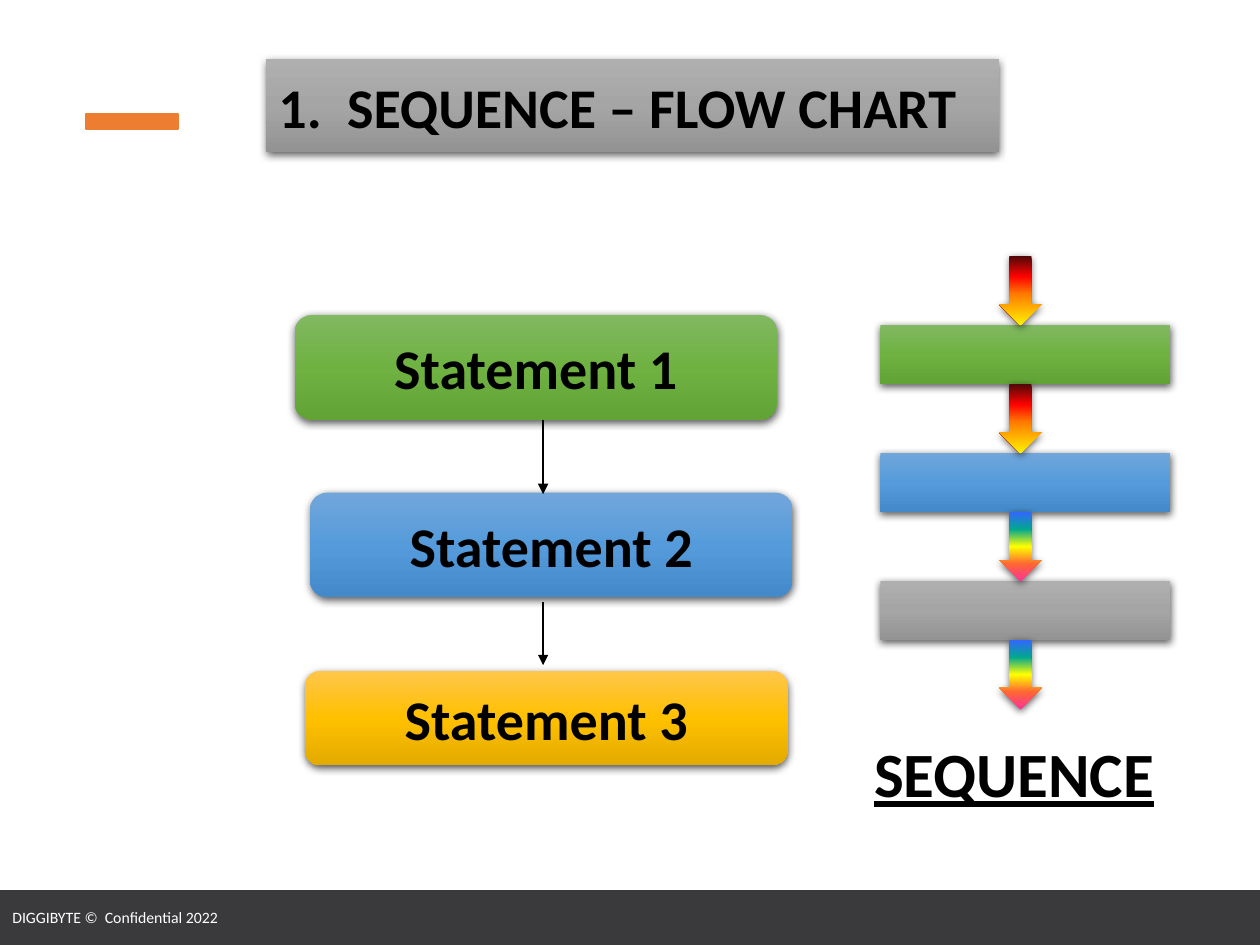
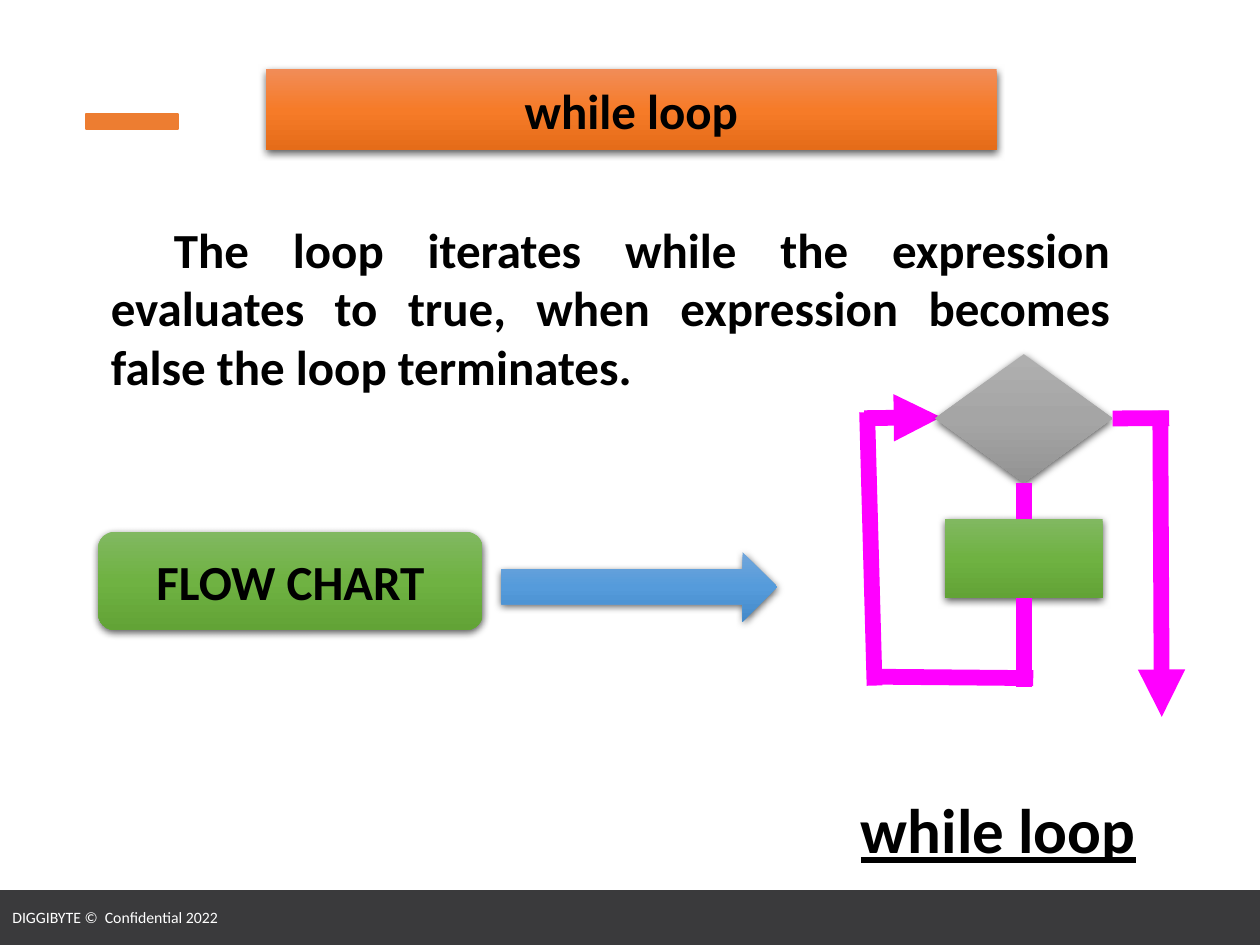
"""Builds two flow chart slides about sequence and the while loop."""
import pptx
import pptx.dml.color
import pptx.enum.shapes
import pptx.enum.text
import pptx.oxml
import pptx.oxml.ns
import pptx.util
from lxml import etree

Cm = pptx.util.Cm
Pt = pptx.util.Pt
RGB = pptx.dml.color.RGBColor
qn = pptx.oxml.ns.qn
SHAPE = pptx.enum.shapes.MSO_SHAPE
ALIGN = pptx.enum.text.PP_ALIGN
ANCHOR = pptx.enum.text.MSO_ANCHOR

FONT = "Calibri"
BLACK = RGB(0x00, 0x00, 0x00)
WHITE = RGB(0xFF, 0xFF, 0xFF)
CHARCOAL = RGB(0x3A, 0x3A, 0x3C)
ACCENT = RGB(0xED, 0x7D, 0x31)
MAGENTA = RGB(0xFF, 0x00, 0xFF)

GRAY = ((0, RGB(0xAF, 0xAF, 0xAF)), (50, RGB(0xA5, 0xA5, 0xA5)), (100, RGB(0x93, 0x93, 0x93)))
GREEN = ((0, RGB(0x81, 0xB8, 0x61)), (50, RGB(0x6F, 0xB2, 0x42)), (100, RGB(0x62, 0xA3, 0x36)))
BLUE = ((0, RGB(0x71, 0xA6, 0xDB)), (50, RGB(0x55, 0x9B, 0xDB)), (100, RGB(0x44, 0x8A, 0xCA)))
GOLD = ((0, RGB(0xFF, 0xC6, 0x4B)), (50, RGB(0xFF, 0xC0, 0x00)), (100, RGB(0xE3, 0xAB, 0x00)))
ORANGE = ((0, RGB(0xF1, 0x8C, 0x57)), (50, RGB(0xF6, 0x7B, 0x28)), (100, RGB(0xE5, 0x6C, 0x19)))
FIRE = ((0, RGB(0x4D, 0x08, 0x08)), (30, RGB(0xFF, 0x03, 0x00)),
        (55, RGB(0xFF, 0x7A, 0x00)), (100, RGB(0xFF, 0xF2, 0x00)))
RAINBOW = ((0, RGB(0x33, 0x66, 0xFF)), (25, RGB(0x01, 0xA7, 0x8F)), (50, RGB(0xFF, 0xFF, 0x00)),
           (75, RGB(0xFF, 0x66, 0x33)), (100, RGB(0xFF, 0x33, 0x99)))


class Deck:
    def __init__(self):
        self.prs = pptx.Presentation()
        self.prs.slide_width, self.prs.slide_height = Cm(25.4), Cm(19.05)
        self.slide = None

    def add_slide(self, layout):
        first = self.slide is None
        self.slide = self.prs.slides.add_slide(self.prs.slide_layouts[layout])
        if first:
            self.add_master_bands()

    def add_master_bands(self):
        band = self.bar((0, 17.96, 25.4, 1.07), CHARCOAL)
        self.add_text(band, "DIGGIBYTE ©  Confidential 2022", 9, ALIGN.LEFT, WHITE, bold=False)
        accent = self.bar((1.74, 2.3, 1.85, 0.3), ACCENT)
        for number, sp in enumerate((band, accent), 101):
            sp.element.nvSpPr.cNvPr.set("id", str(number))
            self.prs.slide_master.shapes.element.append(sp.element)

    def place(self, sp, box):
        sp.left, sp.top, sp.width, sp.height = map(Cm, box)

    def bar(self, box, color):
        sp = self.slide.shapes.add_shape(SHAPE.RECTANGLE, *map(Cm, box))
        sp.shadow.inherit = False
        sp.fill.solid()
        sp.fill.fore_color.rgb = color
        sp.line.color.rgb = color
        sp.line.width = Pt(1)
        return sp

    def shade(self, sp, stops):
        sp.fill.gradient()
        sp.fill.gradient_angle = 270
        stop_list = sp.element.spPr.find(qn("a:gradFill")).find(qn("a:gsLst"))
        for old in list(stop_list):
            stop_list.remove(old)
        for position, color in stops:
            gs = etree.SubElement(stop_list, qn("a:gs"), pos=str(position * 1000))
            etree.SubElement(gs, qn("a:srgbClr"), val=str(color))
        sp.line.fill.background()
        sp.shadow.inherit = False
        effects = sp.element.spPr.find(qn("a:effectLst"))
        shadow = etree.SubElement(effects, qn("a:outerShdw"), blurRad=str(Pt(4.5)),
                                  dist=str(Pt(1.5)), dir="5400000", algn="ctr", rotWithShape="0")
        black = etree.SubElement(shadow, qn("a:srgbClr"), val=str(BLACK))
        etree.SubElement(black, qn("a:alpha"), val="63000")

    def add_text(self, sp, text, size, align=ALIGN.CENTER, color=BLACK, bold=True,
                 underline=None, anchor=ANCHOR.MIDDLE):
        tf = sp.text_frame
        tf.word_wrap = True
        tf.auto_size = pptx.enum.text.MSO_AUTO_SIZE.NONE
        tf.vertical_anchor = anchor
        p = tf.paragraphs[0]
        p.alignment = align
        p.space_before = Pt(0)
        r = p.add_run()
        r.text = text
        r.font.name, r.font.size = FONT, Pt(size)
        r.font.bold, r.font.underline = bold, underline
        r.font.color.rgb = color
        return p

    def title(self, text, box, stops, size, align=ALIGN.CENTER):
        sp = self.slide.shapes.title
        self.place(sp, box)
        self.shade(sp, stops)
        self.add_text(sp, text, size, align)

    def body(self, text, box, indent):
        sp = self.slide.placeholders[1]
        self.place(sp, box)
        p = self.add_text(sp, text, 28, ALIGN.JUSTIFY, anchor=ANCHOR.TOP)
        pPr = p._p.get_or_add_pPr()
        pPr.set("marL", "0")
        pPr.set("indent", str(Cm(indent)))
        etree.SubElement(pPr, qn("a:buNone"))

    def block(self, kind, box, stops, text=None, size=32):
        sp = self.slide.shapes.add_shape(kind, *map(Cm, box))
        self.shade(sp, stops)
        if text:
            self.add_text(sp, text, size)
        return sp

    def caption(self, text, box):
        sp = self.slide.shapes.add_textbox(*map(Cm, box))
        self.add_text(sp, text, 36, underline=True, anchor=ANCHOR.TOP)

    def line(self, start, end, color, width, arrow=False, begin=None, finish=None):
        straight = pptx.enum.shapes.MSO_CONNECTOR.STRAIGHT
        cxn = self.slide.shapes.add_connector(straight, *map(Cm, start + end))
        if begin:
            cxn.begin_connect(*begin)
        if finish:
            cxn.end_connect(*finish)
        cxn.line.color.rgb = color
        cxn.line.width = Pt(width)
        spPr = cxn.element.spPr
        if arrow:
            etree.SubElement(spPr.find(qn("a:ln")), qn("a:tailEnd"), type="triangle")
        etree.SubElement(spPr, qn("a:effectLst"))


def build_sequence(deck):
    deck.add_slide(5)
    deck.title("1.  SEQUENCE – FLOW CHART", (5.36, 1.19, 14.78, 1.88), GRAY, 32, ALIGN.LEFT)

    statements = ((5.94, 6.35, 2.11, GREEN), (6.25, 9.93, 2.11, BLUE), (6.15, 13.52, 1.91, GOLD))
    for number, (left, top, height, stops) in enumerate(statements, 1):
        deck.block(SHAPE.ROUNDED_RECTANGLE, (left, top, 9.73, height), stops, f"Statement {number}")
    for top, bottom in ((8.46, 9.96), (12.14, 13.41)):
        deck.line((10.95, top), (10.95, bottom), BLACK, 1.5, arrow=True)

    step = 2.58
    for i, stops in enumerate((GREEN, BLUE, GRAY)):
        deck.block(SHAPE.RECTANGLE, (17.75, 6.55 + i * step, 5.84, 1.19), stops)
    for i, stops in enumerate((FIRE, FIRE, RAINBOW, RAINBOW)):
        deck.block(SHAPE.DOWN_ARROW, (20.14, 5.16 + i * step, 0.86, 1.4), stops)
    deck.caption("SEQUENCE", (17.09, 14.68, 6.71, 1.8))


def build_while_loop(deck):
    deck.add_slide(1)
    deck.title("while loop", (5.36, 1.4, 14.73, 1.63), ORANGE, 28)
    deck.body("The loop iterates while the expression evaluates to true, "
              "when expression becomes false the loop terminates.",
              (1.98, 4.29, 20.65, 3.84), 1.27)
    deck.caption("while loop", (16.66, 15.82, 6.93, 1.8))

    deck.line((17.42, 8.43), (18.97, 8.41), MAGENTA, 9, arrow=True)
    test = deck.block(SHAPE.FLOWCHART_DECISION, (18.85, 7.14, 3.58, 2.59), GRAY)
    step = deck.block(SHAPE.RECTANGLE, (19.05, 10.46, 3.18, 1.6), GREEN)
    deck.line((22.43, 8.43), (23.57, 8.43), MAGENTA, 9, begin=(test, 3))
    deck.line((23.39, 8.28), (23.42, 14.45), MAGENTA, 9, arrow=True)
    deck.line((20.64, 9.73), (20.64, 10.46), MAGENTA, 9, begin=(test, 2), finish=(step, 0))
    deck.line((20.83, 13.67), (17.48, 13.64), MAGENTA, 9)
    deck.line((17.48, 8.31), (17.63, 13.82), MAGENTA, 9)
    deck.line((20.64, 12.06), (20.64, 13.84), MAGENTA, 9, begin=(step, 2))

    deck.block(SHAPE.ROUNDED_RECTANGLE, (1.98, 10.72, 7.75, 1.98), GREEN, "FLOW CHART", 28)
    deck.block(SHAPE.RIGHT_ARROW, (10.11, 11.13, 5.56, 1.4), BLUE)


def main():
    deck = Deck()
    build_sequence(deck)
    build_while_loop(deck)
    deck.prs.save("out.pptx")


if __name__ == "__main__":
    main()
